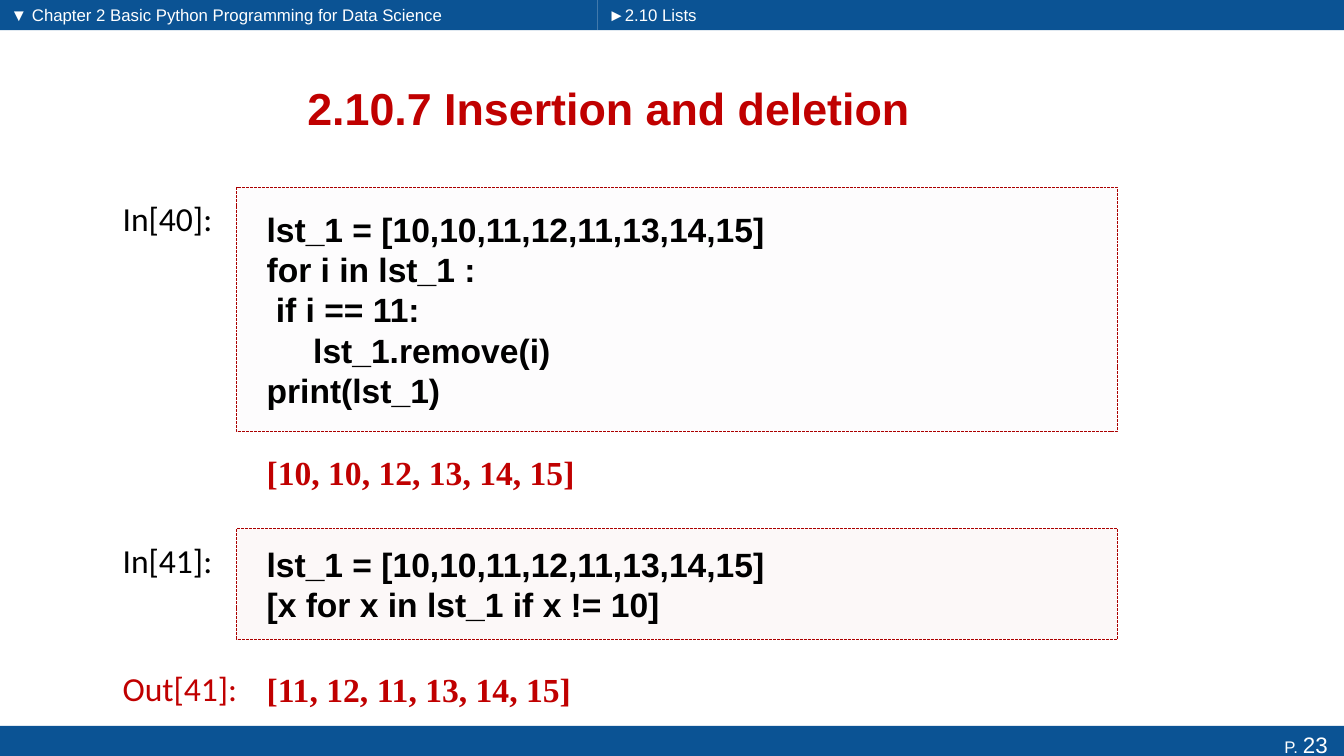
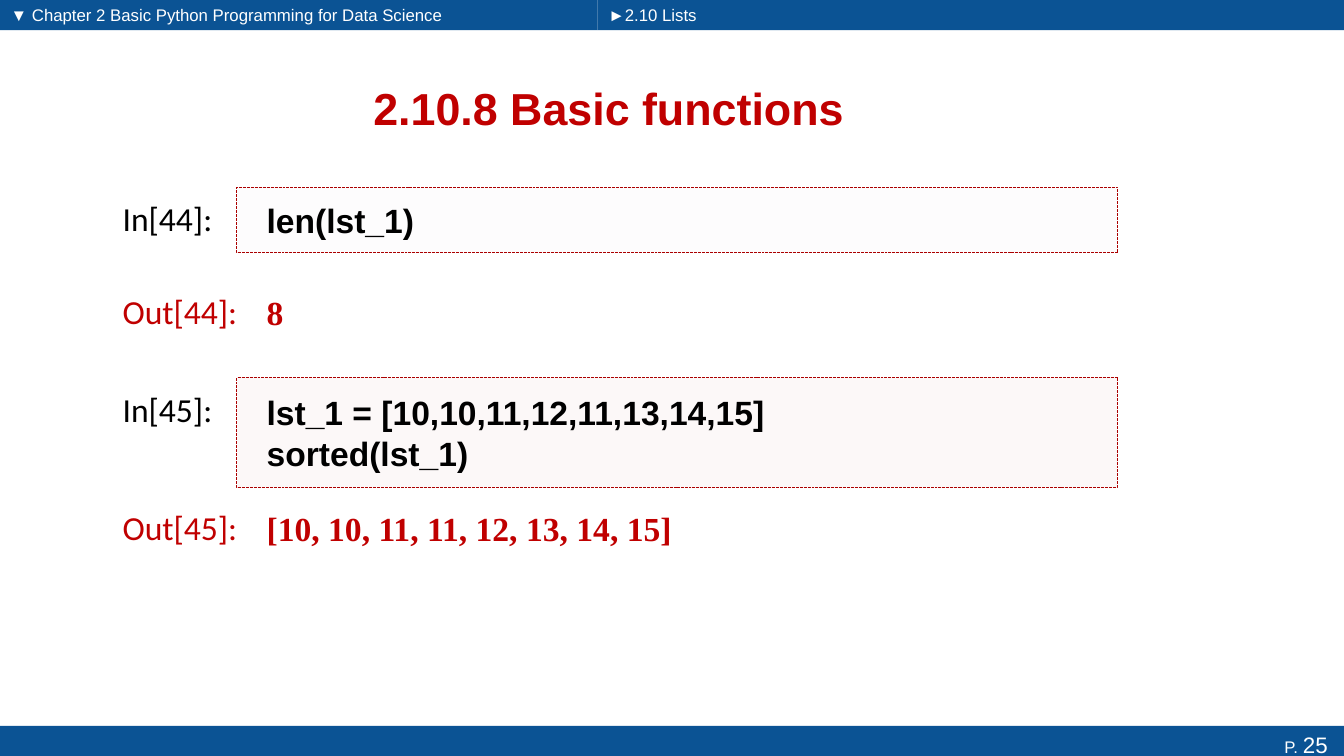
from dataclasses import dataclass

from lxml.etree import SubElement
from pptx import Presentation
from pptx.dml.color import RGBColor
from pptx.enum.dml import MSO_LINE
from pptx.enum.shapes import MSO_SHAPE
from pptx.enum.text import MSO_ANCHOR, PP_ALIGN
from pptx.oxml.ns import qn
from pptx.util import Cm, Pt


@dataclass(frozen=True)
class Theme:
    band: str = "0B5394"
    on_band: str = "FFFFFF"
    accent: str = "C00000"
    code: str = "000000"
    frame: str = "AB0000"
    tints: tuple = ("F1EEF4", "EDCDCB")
    tint_opacity: int = 13
    heading_font: str = "Arial"
    label_font: str = "Calibri"
    output_font: str = "Times New Roman"
    title_size: int = 32
    body_size: int = 24
    page_size: int = 16
    small_size: int = 12
    frame_width: float = 0.7


@dataclass(frozen=True)
class Box:
    left: float
    top: float
    width: float
    height: float

    def lengths(self):
        return Cm(self.left), Cm(self.top), Cm(self.width), Cm(self.height)


@dataclass(frozen=True)
class Cell:
    number: int
    code: str
    output: str
    code_top: float
    code_height: float
    output_top: float
    output_label: bool = True


THEME = Theme()
SLIDE_WIDTH, SLIDE_HEIGHT = 33.87, 19.05
HEADER_SPLIT = 15.06
HEADER_HEIGHT = 0.76
CHAPTER_BAND = Box(0, 0, HEADER_SPLIT, HEADER_HEIGHT)
SECTION_BAND = Box(HEADER_SPLIT, 0, SLIDE_WIDTH - HEADER_SPLIT, HEADER_HEIGHT)
FOOTER_BAND = Box(0, 18.29, SLIDE_WIDTH, 0.94)
TITLE_BOX = Box(1.73, 1.57, 27.23, 2.29)
CELL_LEFT, CELL_WIDTH = 2.84, 25.33
CONTENT_OFFSET = 3.13
LABEL_WIDTH, LABEL_HEIGHT = 3.71, 1.27
LABEL_DROP = 0.15
OUTPUT_HEIGHT = 1.65


def write(text_frame, text, *, size, color, font, bold=False, align=PP_ALIGN.LEFT,
          anchor=MSO_ANCHOR.TOP, insets=(0.25, 0.13, 0.25, 0.13)):
    text_frame.word_wrap = True
    text_frame.vertical_anchor = anchor
    (text_frame.margin_left, text_frame.margin_top,
     text_frame.margin_right, text_frame.margin_bottom) = map(Cm, insets)
    for index, line in enumerate(text.split("\n")):
        paragraph = text_frame.add_paragraph() if index else text_frame.paragraphs[-1]
        paragraph.alignment = align
        run = paragraph.add_run()
        run.text = line
        run.font.size = Pt(size)
        run.font.name = font
        run.font.bold = bold
        run.font.color.rgb = RGBColor.from_string(color)


def add_rectangle(shapes, box, fill):
    shape = shapes.add_shape(MSO_SHAPE.RECTANGLE, *box.lengths())
    shape.shadow.inherit = False
    shape.fill.solid()
    shape.fill.fore_color.rgb = RGBColor.from_string(fill)
    shape.line.fill.background()
    return shape


def add_band(slide, box, parts, align=PP_ALIGN.LEFT, insets=(0.27, 0, 0.25, 0)):
    band = add_rectangle(slide.shapes, box, THEME.band)
    for text, size in parts:
        write(band.text_frame, text, size=size, color=THEME.on_band,
              font=THEME.heading_font, align=align, anchor=MSO_ANCHOR.MIDDLE,
              insets=insets)


def add_label(shapes, box, text, color):
    label = shapes.add_textbox(*box.lengths())
    write(label.text_frame, text, size=THEME.body_size, color=color,
          font=THEME.label_font)


def write_content(shape, text, color, font):
    write(shape.text_frame, text, size=THEME.body_size, color=color, font=font,
          bold=True, anchor=MSO_ANCHOR.MIDDLE, insets=(0.75, 0.13, 0.25, 0.13))


def add_code(shapes, box, text, tint):
    code = add_rectangle(shapes, box, tint)
    color = code.element.spPr.find(qn("a:solidFill"))[0]
    SubElement(color, qn("a:alpha"), val=str(THEME.tint_opacity * 1000))
    code.line.color.rgb = RGBColor.from_string(THEME.frame)
    code.line.width = Pt(THEME.frame_width)
    code.line.dash_style = MSO_LINE.SQUARE_DOT
    write_content(code, text, THEME.code, THEME.heading_font)


def add_cell(slide, box, cell, tint):
    shapes = slide.shapes.add_group_shape().shapes
    content_left = box.left + CONTENT_OFFSET
    content_width = box.width - CONTENT_OFFSET
    output_top = box.top + cell.output_top - cell.code_top

    def label_box(top):
        return Box(box.left, top + LABEL_DROP, LABEL_WIDTH, LABEL_HEIGHT)

    add_label(shapes, label_box(box.top), f"In[{cell.number}]:", THEME.code)
    add_code(shapes, Box(content_left, box.top, content_width, cell.code_height),
             cell.code, tint)
    if cell.output_label:
        add_label(shapes, label_box(output_top), f"Out[{cell.number}]:", THEME.accent)
    output_box = Box(content_left, output_top, content_width, OUTPUT_HEIGHT)
    output = shapes.add_textbox(*output_box.lengths())
    write_content(output, cell.output, THEME.accent, THEME.output_font)


def add_notebook_slide(presentation, title, page, cells):
    slide = presentation.slides.add_slide(presentation.slide_layouts[5])
    add_band(slide, CHAPTER_BAND,
             [("▼ Chapter 2 Basic Python Programming for Data Science", THEME.small_size)])
    add_band(slide, SECTION_BAND, [("►2.10 Lists", THEME.small_size)])
    add_band(slide, FOOTER_BAND,
             [("P. ", THEME.small_size), (str(page), THEME.page_size)],
             align=PP_ALIGN.RIGHT, insets=(0.25, 0, 0.41, 0))
    heading = slide.shapes.title
    heading.left, heading.top, heading.width, heading.height = TITLE_BOX.lengths()
    write(heading.text_frame, title, size=THEME.title_size, color=THEME.accent,
          font=THEME.heading_font, bold=True, align=PP_ALIGN.CENTER,
          anchor=MSO_ANCHOR.MIDDLE)
    for cell, tint in zip(cells, THEME.tints):
        height = cell.output_top + OUTPUT_HEIGHT - cell.code_top
        add_cell(slide, Box(CELL_LEFT, cell.code_top, CELL_WIDTH, height), cell, tint)


def main():
    presentation = Presentation()
    presentation.slide_width = Cm(SLIDE_WIDTH)
    presentation.slide_height = Cm(SLIDE_HEIGHT)
    add_notebook_slide(presentation, "2.10.7 Insertion and deletion", 23, [
        Cell(40, "lst_1 = [10,10,11,12,11,13,14,15]\nfor i in lst_1 :\n if i == 11:\n"
                 "     lst_1.remove(i)\nprint(lst_1)",
             "[10, 10, 12, 13, 14, 15]", 4.72, 6.16, 11.07, output_label=False),
        Cell(41, "lst_1 = [10,10,11,12,11,13,14,15]\n[x for x in lst_1 if x != 10]",
             "[11, 12, 11, 13, 14, 15]", 13.32, 2.79, 16.54),
    ])
    add_notebook_slide(presentation, "2.10.8 Basic functions", 25, [
        Cell(44, "len(lst_1)", "8", 4.72, 1.65, 7.04),
        Cell(45, "lst_1 = [10,10,11,12,11,13,14,15]\nsorted(lst_1)",
             "[10, 10, 11, 11, 12, 13, 14, 15]", 9.51, 2.78, 12.49),
    ])
    presentation.save("out.pptx")


if __name__ == "__main__":
    main()
